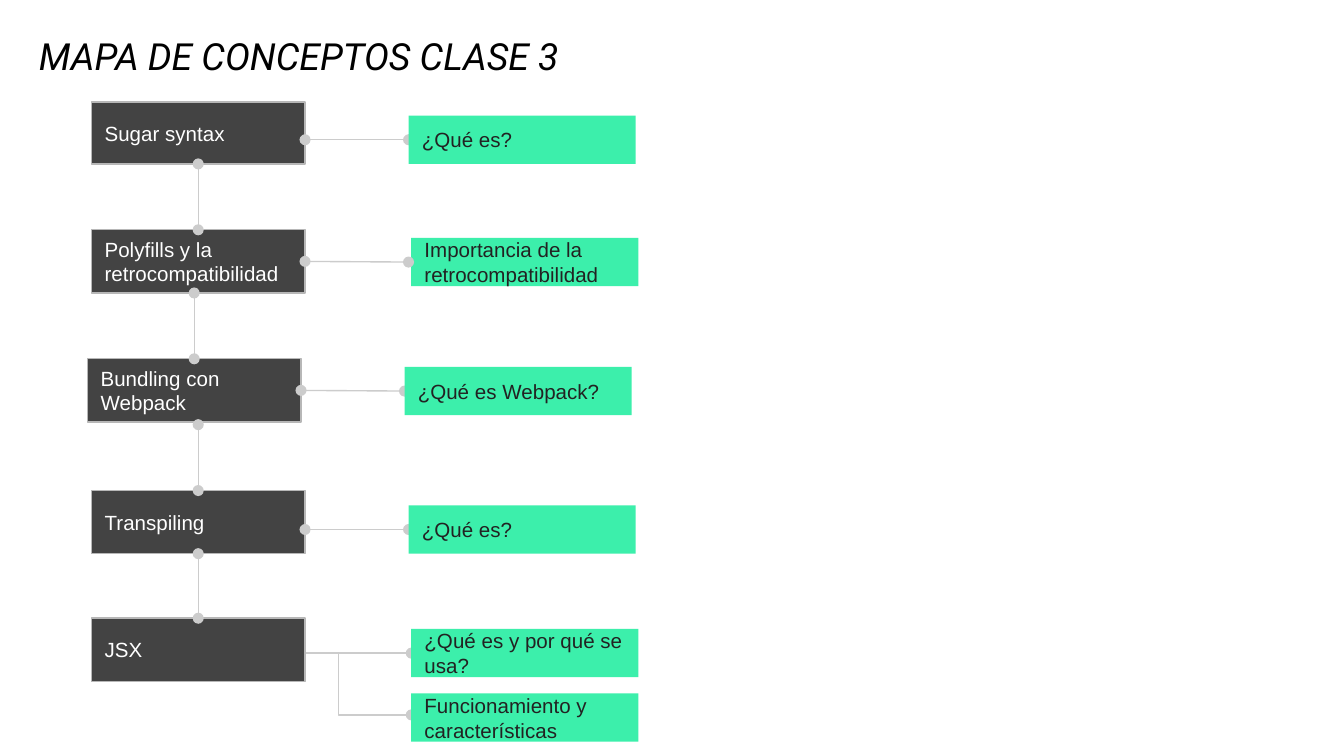
from dataclasses import dataclass

from lxml import etree
from pptx import Presentation
from pptx.dml.color import RGBColor
from pptx.enum.shapes import MSO_CONNECTOR, MSO_SHAPE
from pptx.enum.text import MSO_ANCHOR, MSO_AUTO_SIZE, PP_ALIGN
from pptx.oxml.ns import qn
from pptx.util import Inches, Pt

RECT = MSO_SHAPE.RECTANGLE
LINE, BENT = MSO_CONNECTOR.STRAIGHT, MSO_CONNECTOR.ELBOW
LEFT = PP_ALIGN.LEFT
MIDDLE, BOTTOM = MSO_ANCHOR.MIDDLE, MSO_ANCHOR.BOTTOM
TOP_SIDE, LEFT_SIDE, BOTTOM_SIDE, RIGHT_SIDE = range(4)


@dataclass(frozen=True)
class Theme:
    black: str = "000000"
    white: str = "FFFFFF"
    dark: str = "434343"
    edge: str = "B7B7B7"
    green: str = "3CEFAB"
    ink: str = "222222"
    link: str = "CCCCCC"
    head: str = "Roboto"
    body: str = "Arial"
    big: float = 20
    small: float = 11
    stroke: float = 0.75


THEME = Theme()
STEP_W = 1.59
CARD_W, CARD_H = 1.69, 0.36
SPAN = 0.77  # length of the line from a step to its card
DROP = 0.49  # length of the line from a step to the next

# text, left, top, width, height
STEPS = [
    ("Sugar syntax", 0.68, 0.76, STEP_W, 0.46),
    ("Polyfills y la retrocompatibilidad", 0.68, 1.71, STEP_W, 0.47),
    ("Bundling con Webpack", 0.65, 2.67, STEP_W, 0.47),
    ("Transpiling", 0.68, 3.65, STEP_W, 0.47),
    ("JSX", 0.68, 4.6, STEP_W, 0.47),
]
# text, left, top
CARDS = [
    ("¿Qué es?", 3.04, 0.86),
    ("Importancia de la retrocompatibilidad", 3.06, 1.77),
    ("¿Qué es Webpack?", 3.01, 2.73),
    ("¿Qué es?", 3.04, 3.76),
    ("¿Qué es y por qué se usa?", 3.06, 4.68),
    ("Funcionamiento y características", 3.06, 5.16),
]


def color(code):
    return RGBColor.from_string(code)


def write(shape, text, *, size=THEME.small, face=THEME.body,
          ink=THEME.white, anchor=MIDDLE, italic=False):
    frame = shape.text_frame
    frame.text = text
    frame.word_wrap = True
    frame.auto_size = MSO_AUTO_SIZE.NONE
    frame.vertical_anchor = anchor
    frame.margin_left = frame.margin_right = Inches(0.1)
    frame.margin_top = frame.margin_bottom = Inches(0.1)
    para = frame.paragraphs[0]
    para.alignment = LEFT
    font = para.runs[0].font
    font.size, font.name, font.italic = Pt(size), face, italic
    font.bold = False
    font.color.rgb = color(ink)


def box(slide, text, x, y, w, h, fill, ink, edge=None):
    shape = slide.shapes.add_shape(RECT, *map(Inches, (x, y, w, h)))
    shape.shadow.inherit = False
    shape.fill.solid()
    shape.fill.fore_color.rgb = color(fill)
    if edge:
        shape.line.color.rgb = color(edge)
        shape.line.width = Pt(THEME.stroke)
    else:
        shape.line.fill.background()
    write(shape, text, ink=ink)
    return shape


def step(slide, item):
    return box(slide, *item, THEME.dark, THEME.white, THEME.edge)


def card(slide, item):
    return box(slide, *item, CARD_W, CARD_H, THEME.green, THEME.ink)


def link(slide, x1, y1, x2, y2, kind=LINE, ends=("headEnd", "tailEnd")):
    """Draw a connector with a dot at each of the named ends."""
    wire = slide.shapes.add_connector(kind, *map(Inches, (x1, y1, x2, y2)))
    wire.line.color.rgb = color(THEME.link)
    wire.line.width = Pt(THEME.stroke)
    for end in ends:
        etree.SubElement(wire.line._get_or_add_ln(), qn("a:" + end),
                         type="oval")
    etree.SubElement(wire._element.spPr, qn("a:effectLst"))
    return wire


def title(slide, text):
    shape = slide.shapes.title
    shape.left, shape.top = Inches(0.19), Inches(0.22)
    shape.width, shape.height = Inches(8.26), Inches(0.46)
    write(shape, text, size=THEME.big, face=THEME.head, ink=THEME.black,
          anchor=BOTTOM, italic=True)
    hint = slide.placeholders[1]._element
    hint.getparent().remove(hint)


def chain(slide, steps):
    """Drop a line onto each step, joined above where the columns agree."""
    for row in range(1, len(steps)):
        _, left, top, width, _ = STEPS[row]
        x = left + width / 2
        wire = link(slide, x, top - DROP, x, top)
        wire.end_connect(steps[row], TOP_SIDE)
        if steps[row - 1].left == steps[row].left:
            wire.begin_connect(steps[row - 1], BOTTOM_SIDE)


def spur(slide, x, item):
    y = item[2] + CARD_H / 2
    return link(slide, x, y, x + SPAN, y)


def main():
    deck = Presentation()
    deck.slide_width = Inches(10)
    deck.slide_height = deck.slide_width * 9 // 16
    slide = deck.slides.add_slide(deck.slide_layouts[0])
    title(slide, "MAPA DE CONCEPTOS CLASE 3")

    # The fork starts behind the last step
    fork = link(slide, 2.01, 4.86, 3.06, 4.86)
    link(slide, 1.98, 4.86, 3.06, 5.32, BENT, ["tailEnd"])
    steps = [step(slide, item) for item in STEPS]
    chain(slide, steps)

    # Cards cover the dots, save that of the second row
    spurs = {row: spur(slide, x, CARDS[row])
             for row, x in [(0, 2.27), (2, 2.24), (3, 2.27)]}
    spurs[4] = fork
    cards = [card(slide, item) for item in CARDS]
    for row, wire in spurs.items():
        wire.end_connect(cards[row], LEFT_SIDE)
    spurs[2].begin_connect(steps[2], RIGHT_SIDE)
    spur(slide, 2.27, CARDS[1]).begin_connect(steps[1], RIGHT_SIDE)

    deck.save("out.pptx")


if __name__ == "__main__":
    main()
